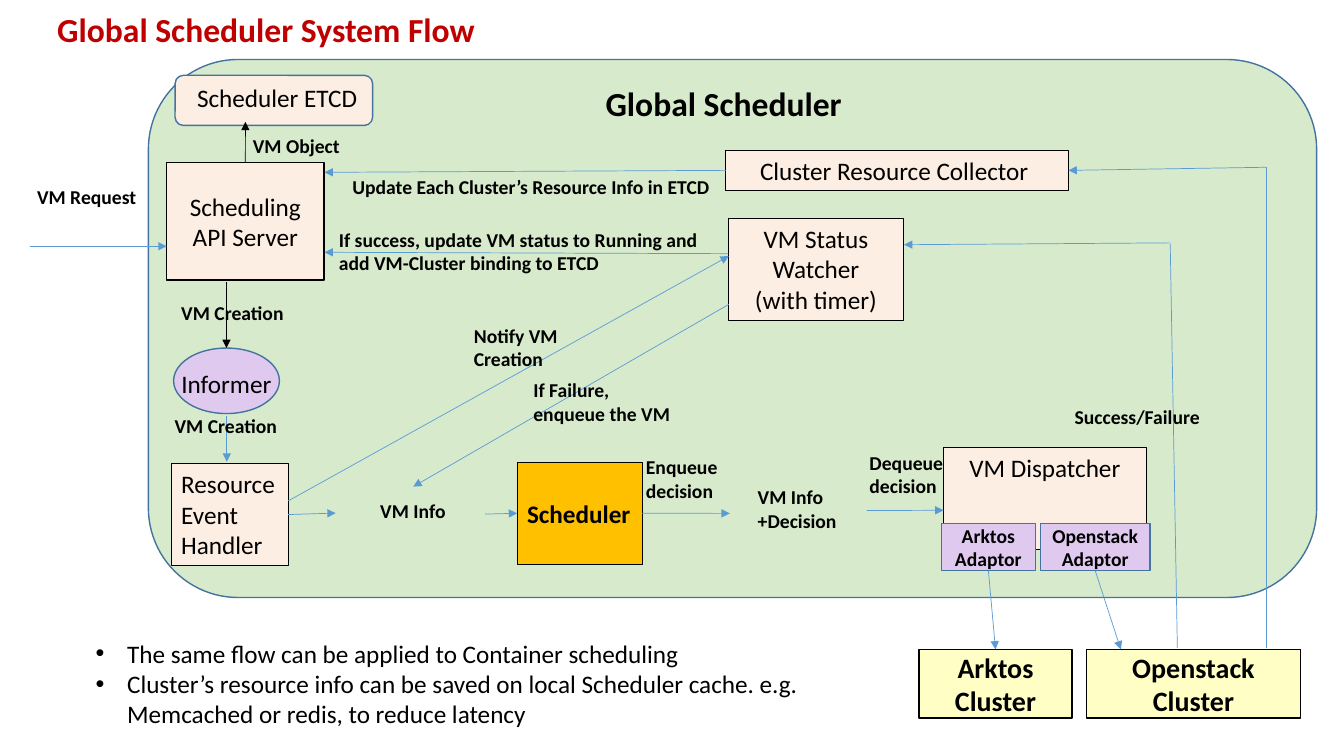
from dataclasses import dataclass
from typing import Optional

from lxml import etree
from pptx import Presentation, util as u
from pptx.dml.color import RGBColor
from pptx.enum import shapes, text
from pptx.oxml import ns

BLACK = RGBColor(0x00, 0x00, 0x00)
RED = RGBColor(0xC0, 0x00, 0x00)
GREEN = RGBColor(0xD7, 0xEA, 0xCC)
PEACH = RGBColor(0xFD, 0xEE, 0xE3)
CREAM = RGBColor(0xFF, 0xFF, 0xC5)
GOLD = RGBColor(0xFF, 0xC0, 0x00)
LILAC = RGBColor(0xDF, 0xC9, 0xEF)
STEEL = RGBColor(0x43, 0x73, 0x9E)
BLUE = RGBColor(0x5B, 0x9B, 0xD5)

RECT = shapes.MSO_SHAPE.RECTANGLE
ROUND = shapes.MSO_SHAPE.ROUNDED_RECTANGLE
OVAL = shapes.MSO_SHAPE.OVAL
TOP, MID = text.MSO_ANCHOR.TOP, text.MSO_ANCHOR.MIDDLE
LEFT, CENTER = text.PP_ALIGN.LEFT, text.PP_ALIGN.CENTER
NORTH, WEST, SOUTH, EAST = range(4)


@dataclass
class Box:
    key: str
    at: tuple[float, float, float, float]
    fill: RGBColor
    words: str = ""
    kind: shapes.MSO_SHAPE = RECT
    edge: RGBColor = BLACK
    width: float = 0.75
    size: float = 18
    bold: bool = False
    anchor: text.MSO_ANCHOR = TOP
    align: text.PP_ALIGN = CENTER


@dataclass
class Label:
    words: str
    at: tuple[float, float, float, float]
    size: float = 14
    bold: bool = True
    color: RGBColor = BLACK
    anchor: text.MSO_ANCHOR = TOP
    align: text.PP_ALIGN = LEFT
    bullet: bool = False
    spacing: Optional[float] = None


@dataclass
class Arrow:
    start: tuple[float, float]
    end: tuple[float, float]
    color: RGBColor = BLUE
    tip: bool = True
    source: Optional[tuple[str, int]] = None
    target: Optional[tuple[str, int]] = None


BOXES = [
    Box("panel", (106, 42.5, 834.5, 384.3), GREEN, kind=ROUND, edge=STEEL, width=1),
    Box("etcd", (125.1, 53.8, 141.1, 35.8), PEACH, kind=ROUND, edge=STEEL, width=1),
    Box("api", (119, 115.9, 112.5, 84.2), PEACH, "Scheduling API Server",
        width=1, anchor=MID),
    Box("informer", (124, 248.6, 75.6, 46.8), LILAC, kind=OVAL, edge=STEEL, width=1),
    Box("handler", (122.4, 331.2, 83.5, 72.7), PEACH, "Resource Event Handler", align=LEFT),
    Box("scheduler", (369.4, 330.3, 89.3, 72.7), GOLD, "Scheduler",
        bold=True, anchor=MID, align=LEFT),
    Box("collector", (518.4, 107.3, 244.8, 28.8), PEACH, "Cluster Resource Collector "),
    Box("watcher", (520.2, 156, 125.3, 72.7), PEACH, "VM Status Watcher\n(with timer)"),
    Box("sender", (674, 319.7, 144.8, 72.7), PEACH, "VM Dispatcher"),
    Box("arktos adaptor", (672.5, 373.9, 67, 33.8), LILAC, "Arktos Adaptor",
        edge=STEEL, width=1, size=14, bold=True, anchor=MID),
    Box("stack adaptor", (743.2, 373.9, 78.3, 33.8), LILAC, "Openstack\nAdaptor",
        edge=STEEL, width=1, size=14, bold=True, anchor=MID),
    Box("arktos cluster", (656.4, 463.9, 109.4, 49), CREAM, "Arktos\nCluster",
        width=1, size=20, bold=True, anchor=MID),
    Box("stack cluster", (776.2, 463.9, 152.6, 49), CREAM, "Openstack Cluster",
        width=1, size=20, bold=True, anchor=MID),
]

ARROWS = [
    # Request and API server column
    Arrow((21.2, 175.9), (119, 175.9)),
    Arrow((175.3, 115.9), (175.3, 87.1), BLACK, source=("api", NORTH)),
    Arrow((161.8, 201.6), (161.8, 248.6), BLACK, target=("informer", NORTH)),
    Arrow((162, 297.4), (162, 329.8)),
    # Scheduling row
    Arrow((205.9, 367.5), (239.8, 366.5), source=("handler", EAST)),
    Arrow((346.3, 367.2), (369.4, 366.7), target=("scheduler", WEST)),
    Arrow((458.7, 366.7), (521.3, 366.7), source=("scheduler", EAST)),
    Arrow((619.2, 364.7), (674, 364.5)),
    # Status updates
    Arrow((518.4, 121.7), (231.8, 123.1), source=("collector", WEST)),
    Arrow((520.2, 181.2), (231.8, 180.2)),
    Arrow((205.9, 357.8), (520.6, 182.9)),
    Arrow((520.6, 217.4), (295.2, 347.6)),
    # Clusters
    Arrow((706, 407.7), (711.1, 463.9), source=("arktos adaptor", SOUTH),
          target=("arktos cluster", NORTH)),
    Arrow((782.3, 407.7), (800.6, 463.9), source=("stack adaptor", SOUTH)),
    Arrow((841, 463), (835.9, 174), tip=False),
    Arrow((835.9, 173.5), (645.8, 174.8)),
    Arrow((904.3, 463), (904.3, 119.5), tip=False),
    Arrow((904.3, 119.5), (763.2, 121.7), target=("collector", EAST)),
]

LABELS = [
    Label("Global Scheduler System Flow", (33.8, 6, 896.4, 73.4), 24,
          color=RED, spacing=0.9),
    Label("Global Scheduler", (425.5, 55.8, 244.8, 36), 24),
    Label("Scheduler ETCD", (125.3, 51.1, 145.4, 36.7), 18, False, anchor=MID, align=CENTER),
    Label("Informer", (122.4, 259.2, 97.2, 25.2), 18, False),
    Label("VM Request", (19.4, 128.7, 112.3, 24.5)),
    Label("VM Object", (173.5, 92.2, 157.7, 24.5)),
    Label("VM Creation", (122.4, 211.3, 105.8, 24.5)),
    Label("VM Creation", (117.6, 292.3, 97.2, 24.5)),
    Label("VM Info", (264.5, 352.8, 94.3, 24.5)),
    Label("Enqueue decision", (454.3, 321.6, 74.2, 41)),
    Label("VM Info\n+Decision", (534.2, 343.1, 103.7, 41)),
    Label("Dequeue decision", (614, 318.4, 74.2, 41)),
    Label("Success/Failure", (760.5, 285.8, 118.1, 24.5)),
    Label("Update Each Cluster’s Resource Info in ETCD", (244.6, 121.7, 292.3, 24.5)),
    Label("If success, update VM status to Running and\nadd VM-Cluster binding to ETCD",
          (235, 159.1, 306.7, 41)),
    Label("Notify VM Creation", (331.4, 227.5, 97.2, 41)),
    Label("If Failure, enqueue the VM", (373.9, 266.7, 121, 41)),
    Label("The same flow can be applied to Container scheduling\n"
          "Cluster’s resource info can be saved on local Scheduler cache. e.g. "
          "Memcached or redis, to reduce latency",
          (61.2, 452.2, 543.6, 72.7), 18, False, bullet=True),
]


def write(shape, item, color: RGBColor = BLACK, bullet: bool = False,
          spacing: Optional[float] = None) -> None:
    frame = shape.text_frame
    frame.word_wrap = True
    frame.vertical_anchor = item.anchor
    frame.text = item.words
    for para in frame.paragraphs:
        if bullet:
            props = para._p.get_or_add_pPr()
            props.set("marL", str(u.Pt(22.5)))
            props.set("indent", str(-u.Pt(22.5)))
            etree.SubElement(props, ns.qn("a:buFont")).set("typeface", "Arial")
            etree.SubElement(props, ns.qn("a:buChar")).set("char", "•")
        para.alignment = item.align
        if spacing:
            para.line_spacing = spacing
        para.font.name = "Calibri"
        para.font.size = u.Pt(item.size)
        para.font.bold = item.bold
        para.font.color.rgb = color


def draw_box(slide, box: Box):
    shape = slide.shapes.add_shape(box.kind, *map(u.Pt, box.at))
    shape.shadow.inherit = False
    shape.fill.solid()
    shape.fill.fore_color.rgb = box.fill
    shape.line.color.rgb = box.edge
    shape.line.width = u.Pt(box.width)
    if box.words:
        write(shape, box)
    return shape


def draw_arrow(slide, arrow: Arrow, made: dict) -> None:
    line = slide.shapes.add_connector(
        shapes.MSO_CONNECTOR.STRAIGHT, *map(u.Pt, arrow.start + arrow.end))
    if arrow.source:
        line.begin_connect(made[arrow.source[0]], arrow.source[1])
    if arrow.target:
        line.end_connect(made[arrow.target[0]], arrow.target[1])
    line.line.color.rgb = arrow.color
    line.line.width = u.Pt(0.5)
    if arrow.tip:
        tail = etree.SubElement(line.line._get_or_add_ln(), ns.qn("a:tailEnd"))
        tail.set("type", "triangle")
    etree.SubElement(line._element.spPr, ns.qn("a:effectLst"))


def draw_label(slide, label: Label) -> None:
    shape = slide.shapes.add_textbox(*map(u.Pt, label.at))
    write(shape, label, label.color, label.bullet, label.spacing)


def main() -> None:
    deck = Presentation()
    deck.slide_width, deck.slide_height = u.Pt(960), u.Pt(540)
    slide = deck.slides.add_slide(deck.slide_layouts[6])
    made = {box.key: draw_box(slide, box) for box in BOXES}
    for arrow in ARROWS:
        draw_arrow(slide, arrow, made)
    for label in LABELS:
        draw_label(slide, label)
    deck.save("out.pptx")


if __name__ == "__main__":
    main()
